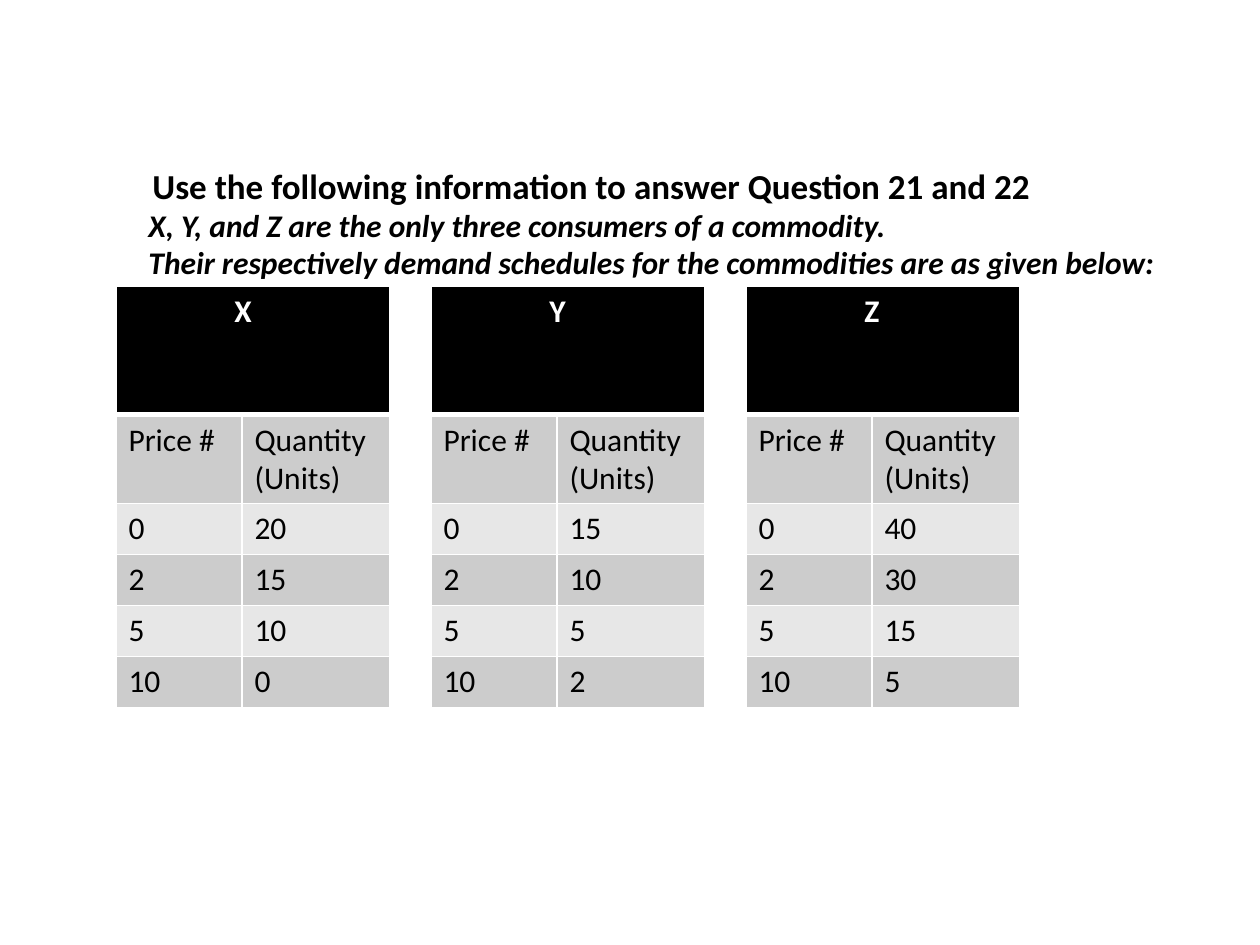
from lxml import etree
from pptx import Presentation
from pptx import util as u
from pptx.dml.color import RGBColor
from pptx.enum import text
from pptx.oxml.ns import qn

BLACK = RGBColor(0x00, 0x00, 0x00)
WHITE = RGBColor(0xFF, 0xFF, 0xFF)
DARK_BAND = RGBColor(0xCC, 0xCC, 0xCC)
LIGHT_BAND = RGBColor(0xE7, 0xE7, 0xE7)

PRICES = (0, 2, 5, 10)
DEMAND = {
    "X": (20, 15, 10, 0),
    "Y": (15, 10, 5, 2),
    "Z": (40, 30, 15, 5),
}


class QuestionPage:
    """Style and current slide; places are percentages of the slide's size."""

    font = "Calibri"
    size = 18
    column_widths = (10, 11.7)
    row_heights = (13.6, 9.4) + (5.4,) * len(PRICES)
    header_indent = u.Inches(0.94)

    def __init__(self, deck):
        self.deck = deck
        self.page = deck.slides.add_slide(deck.slide_layouts[5])

    def across(self, percent):
        return round(self.deck.slide_width * percent / 100)

    def down(self, percent):
        return round(self.deck.slide_height * percent / 100)

    def place(self, left, top, width, height):
        return (self.across(left), self.down(top),
                self.across(width), self.down(height))

    def style(self, para, size=None, color=BLACK, bold=False, italic=False):
        font = para.font
        font.name, font.size = self.font, u.Pt(size or self.size)
        font.bold, font.italic = bold, italic
        font.color.rgb = color

    def fill_box(self, box, lines, **look):
        frame = box.text_frame
        frame.text = "\n".join(lines)
        frame.word_wrap = False
        frame.auto_size = text.MSO_AUTO_SIZE.SHAPE_TO_FIT_TEXT
        frame.vertical_anchor = text.MSO_ANCHOR.TOP
        for para in frame.paragraphs:
            para.alignment = text.PP_ALIGN.LEFT
            self.style(para, bold=True, **look)

    def title(self, line, area, size):
        box = self.page.shapes.title
        box.left, box.top, box.width, box.height = self.place(*area)
        self.fill_box(box, [line], size=size)

    def note(self, lines, area):
        box = self.page.shapes.add_textbox(*self.place(*area))
        self.fill_box(box, lines, italic=True)

    def borders(self, cell, top=1, bottom=1):
        properties = cell._tc.get_or_add_tcPr()
        for side, points in zip("LRTB", (1, 1, top, bottom)):
            line = etree.SubElement(properties, qn(f"a:ln{side}"), w=str(u.Pt(points)))
            fill = etree.SubElement(line, qn("a:solidFill"))
            etree.SubElement(fill, qn("a:srgbClr"), val=str(WHITE))

    def cell(self, cell, value, fill, top=1, bottom=1, **look):
        self.borders(cell, top, bottom)
        cell.fill.solid()
        cell.fill.fore_color.rgb = fill
        cell.text = str(value)
        self.style(cell.text_frame.paragraphs[0], **look)

    def schedule(self, consumer, quantities, left, top):
        """Add one consumer's demand table."""
        area = (left, top, sum(self.column_widths), sum(self.row_heights))
        table = self.page.shapes.add_table(
            len(self.row_heights), len(self.column_widths), *self.place(*area)).table
        for column, width in zip(table.columns, self.column_widths):
            column.width = self.across(width)
        for row, height in zip(table.rows, self.row_heights):
            row.height = self.down(height)

        header = table.cell(0, 0)
        header.merge(table.cell(0, 1))
        self.cell(header, consumer, BLACK, bottom=3, color=WHITE, bold=True)
        header.margin_left = self.header_indent

        body = [("Price #", "Quantity (Units)"), *zip(PRICES, quantities)]
        for r, values in enumerate(body, start=1):
            for c, value in enumerate(values):
                self.cell(table.cell(r, c), value, DARK_BAND if r % 2 else LIGHT_BAND,
                          top=3 if r == 1 else 1)


def main():
    deck = Presentation()
    deck.slide_width, deck.slide_height = u.Inches(10), u.Inches(7.5)
    page = QuestionPage(deck)
    page.title("Use the following information to answer Question 21 and 22",
               (11.1, 16.7, 72.2, 5.8), size=20)
    for i, (consumer, quantities) in enumerate(DEMAND.items()):
        page.schedule(consumer, quantities, left=9.2 + i * 25, top=30.3)
    page.note(["X, Y, and Z are the only three consumers of a commodity.",
               "Their respectively demand schedules for the commodities are as given below:"],
              (10.8, 21.1, 82.9, 9.4))
    deck.save("out.pptx")


if __name__ == "__main__":
    main()
